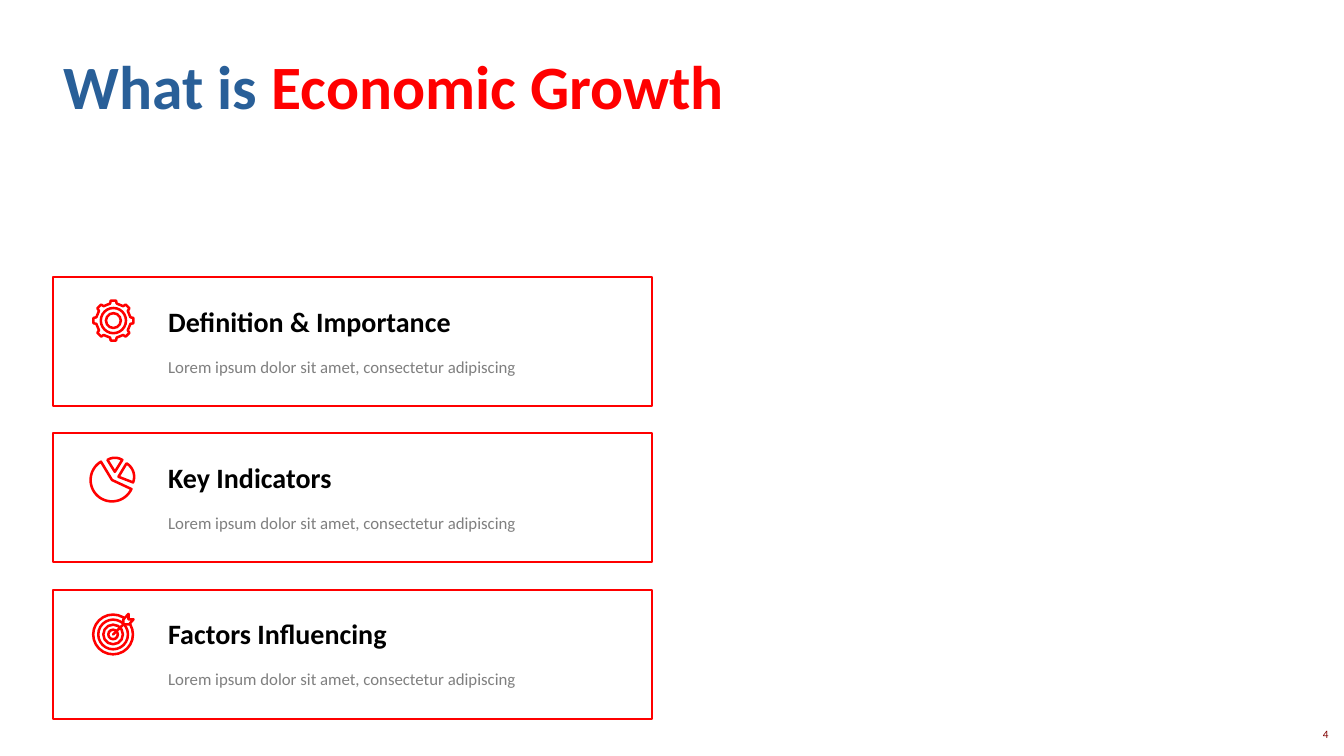
"""Build the slide that introduces economic growth with three topic cards."""
from dataclasses import dataclass
from math import cos, radians, sin

from pptx import Presentation
from pptx.dml.color import RGBColor
from pptx.enum.shapes import MSO_SHAPE
from pptx.enum.text import MSO_ANCHOR, MSO_AUTO_SIZE, PP_ALIGN
from pptx.shapes.autoshape import Shape
from pptx.slide import Slide
from pptx.text.text import TextFrame
from pptx.util import Pt

RECT, OVAL = MSO_SHAPE.RECTANGLE, MSO_SHAPE.OVAL
LEFT, RIGHT = PP_ALIGN.LEFT, PP_ALIGN.RIGHT
TOP, FIXED = MSO_ANCHOR.TOP, MSO_AUTO_SIZE.NONE

Point = tuple[float, float]


@dataclass(frozen=True)
class Theme:
    font: str = "Calibri"
    red: str = "FF0000"
    blue: str = "295F98"
    black: str = "000000"
    gray: str = "7F7F7F"
    maroon: str = "800000"
    white: str = "FFFFFF"
    title: float = 44
    head: float = 20
    body: float = 12
    page: float = 8
    frame: float = 1.5
    stroke: float = 1.8


@dataclass(frozen=True)
class Box:
    left: float
    top: float
    width: float
    height: float


@dataclass(frozen=True)
class Label:
    text: str
    box: Box
    size: float
    color: str
    bold: bool = False
    align: PP_ALIGN = LEFT
    space: float = 1


@dataclass(frozen=True)
class Ring:
    x: float
    y: float
    radius: float


@dataclass(frozen=True)
class Slice:
    x: float
    y: float
    radius: float
    start: int
    end: int


THEME = Theme()
TITLE = Box(38.16, 30.96, 644.4, 60.48)
CARD = Box(38.16, 198, 427.68, 92.16)
PITCH = 111.6
HEADS = ("Definition & Importance", "Key Indicators", "Factors Influencing")
BLURB = "Lorem ipsum dolor sit amet, consectetur adipiscing"
PAGE = Label("4", Box(917.28, 516.24, 38.88, 17.28), THEME.page, THEME.maroon,
             align=RIGHT)
GEAR = (81, 229)
GOAL = (80.8, 453.2)
TOOTH = ((-11, 12.4), (-7.5, 14.4), (7.5, 14.4), (11, 12.4))
RINGS = (
    *(Ring(*GEAR, radius) for radius in (9, 5.3)),
    *(Ring(*GOAL, radius) for radius in (14.2, 10.6, 7, 3.4)),
)
SLICES = (
    Slice(80, 342.9, 15.3, 25, 239),
    Slice(84.6, 340.6, 11.2, -59, 21),
    Slice(82.1, 337, 10, 238, 302),
)
ARROW = ((88.2, 446), (88.2, 442.4), (91.8, 438.5), (91.8, 442.4),
         (95.4, 442.4), (92.2, 446), (88.2, 446))


def place(shape: Shape, box: Box) -> None:
    """Move and size a shape."""
    shape.left, shape.top = Pt(box.left), Pt(box.top)
    shape.width, shape.height = Pt(box.width), Pt(box.height)


def setup(frame: TextFrame) -> None:
    """Give a text frame wrapping, a top anchor and a fixed size."""
    frame.word_wrap = True
    frame.auto_size = FIXED
    frame.vertical_anchor = TOP


def outline(shape: Shape, width: float, fill: str = "") -> None:
    """Draw a red line around a shape, with an optional fill."""
    shape.shadow.inherit = False
    shape.line.color.rgb = RGBColor.from_string(THEME.red)
    shape.line.width = Pt(width)
    if fill:
        shape.fill.solid()
        shape.fill.fore_color.rgb = RGBColor.from_string(fill)
    else:
        shape.fill.background()


def polar(x: float, y: float, radius: float, angle: float) -> Point:
    """Return the point at an angle in degrees around a centre."""
    turn = radians(angle)
    return x + radius * cos(turn), y + radius * sin(turn)


def trace(slide: Slide, points: list[Point], fill: str = "") -> None:
    """Draw a closed outline through the points."""
    first, *rest = [(Pt(x), Pt(y)) for x, y in points]
    pen = slide.shapes.build_freeform(*first)
    pen.add_line_segments(rest, close=True)
    outline(pen.convert_to_shape(), THEME.stroke, fill)


def wedge(part: Slice) -> list[Point]:
    """Return the outline of a pie slice."""
    steps = 30
    span = part.end - part.start
    arc = [polar(part.x, part.y, part.radius, part.start + span * i / steps)
           for i in range(steps + 1)]
    return [(part.x, part.y), *arc]


def add_ring(slide: Slide, ring: Ring) -> None:
    """Draw a circle around its centre."""
    size = 2 * ring.radius
    shape = slide.shapes.add_shape(
        OVAL, Pt(ring.x - ring.radius), Pt(ring.y - ring.radius), Pt(size), Pt(size))
    outline(shape, THEME.stroke)


def add_icons(slide: Slide) -> None:
    """Draw the gear, the pie and the target."""
    trace(slide, [polar(*GEAR, radius, 45 * i + turn)
                  for i in range(8) for turn, radius in TOOTH])
    for part in SLICES:
        trace(slide, wedge(part))
    for ring in RINGS:
        add_ring(slide, ring)
    trace(slide, [GOAL, *ARROW], THEME.white)


def add_label(slide: Slide, label: Label) -> None:
    """Add a text box with one paragraph."""
    box = label.box
    shape = slide.shapes.add_textbox(
        Pt(box.left), Pt(box.top), Pt(box.width), Pt(box.height))
    setup(shape.text_frame)
    para = shape.text_frame.paragraphs[0]
    para.text = label.text
    para.alignment = label.align
    para.line_spacing = label.space
    para.font.name = THEME.font
    para.font.size = Pt(label.size)
    para.font.bold = label.bold
    para.font.color.rgb = RGBColor.from_string(label.color)


def add_card(slide: Slide, head: str, top: float) -> None:
    """Add a framed card with its heading and blurb."""
    frame = slide.shapes.add_shape(
        RECT, Pt(CARD.left), Pt(top), Pt(CARD.width), Pt(CARD.height))
    outline(frame, THEME.frame)
    add_label(slide, Label(head, Box(113.04, top + 15.84, 352.8, 31.68),
                           THEME.head, THEME.black, bold=True))
    add_label(slide, Label(BLURB, Box(113.04, top + 46.08, 346.32, 28.8),
                           THEME.body, THEME.gray, space=1.5))


def add_title(slide: Slide) -> None:
    """Fill the title placeholder in two colours."""
    shape = slide.shapes.title
    place(shape, TITLE)
    setup(shape.text_frame)
    para = shape.text_frame.paragraphs[0]
    para.alignment = LEFT
    para.font.name = THEME.font
    para.font.size = Pt(THEME.title)
    para.font.bold = True
    for text, color in (("What is ", THEME.blue), ("Economic Growth", THEME.red)):
        run = para.add_run()
        run.text = text
        run.font.color.rgb = RGBColor.from_string(color)


def main() -> None:
    """Build and save the deck."""
    deck = Presentation()
    deck.slide_width, deck.slide_height = Pt(960), Pt(540)
    slide = deck.slides.add_slide(deck.slide_layouts[5])
    add_title(slide)
    add_icons(slide)
    for i, head in enumerate(HEADS):
        add_card(slide, head, CARD.top + i * PITCH)
    add_label(slide, PAGE)
    deck.save("out.pptx")


if __name__ == "__main__":
    main()
